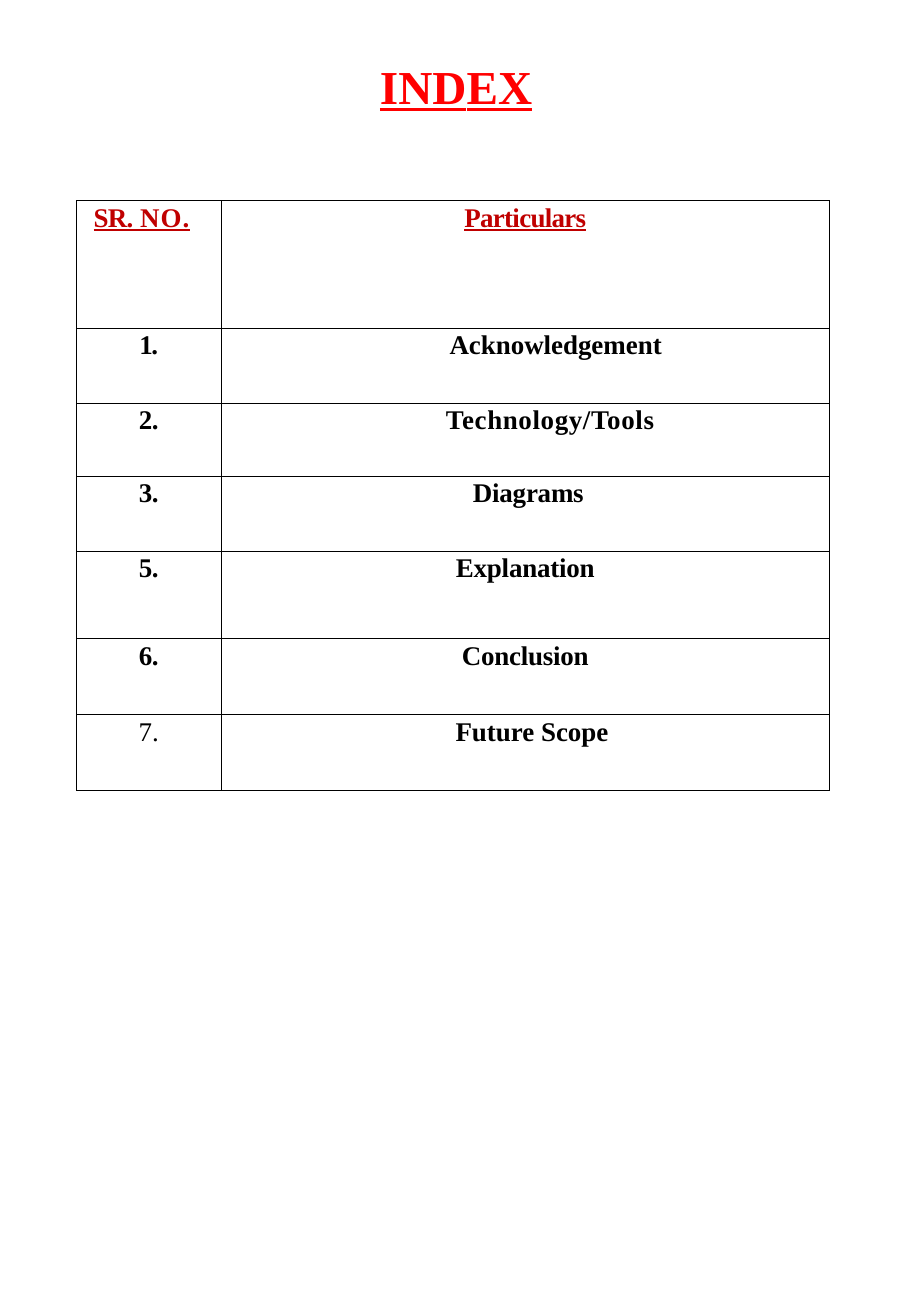
from lxml import etree
from pptx import Presentation, util as u
from pptx.dml import color
from pptx.enum import text
from pptx.oxml import ns

BLACK, RED, DARK_RED = "000000", "FF0000", "C00000"


def rgb(value):
    return color.RGBColor.from_string(value)


class IndexPage:
    font = "Times New Roman"
    border_width = u.Pt(0.5)

    def __init__(self, deck):
        self.width, self.height = deck.slide_width, deck.slide_height
        self.slide = deck.slides.add_slide(deck.slide_layouts[5])

    def across(self, percent):
        return round(self.width * percent / 100)

    def down(self, percent):
        return round(self.height * percent / 100)

    def wording(self, frame, pieces, size, tint, bold=True, underline=False,
                indent=0, before=1.5, align=text.PP_ALIGN.CENTER):
        line = frame.paragraphs[0]
        line.alignment = align
        line.space_before = u.Pt(before)
        properties = line._p.get_or_add_pPr()
        properties.set("marL", str(u.Inches(indent)))
        properties.set("indent", "0")
        line.font.name, line.font.size = self.font, u.Pt(size)
        line.font.bold, line.font.underline = bold, underline
        line.font.color.rgb = rgb(tint)
        for words, spacing in pieces:
            run = line.add_run()
            run.text = words
            run._r.get_or_add_rPr().set("spc", str(round(spacing * 100)))

    def title(self, pieces, left, top, width, height):
        heading = self.slide.shapes.title
        heading.left, heading.top = self.across(left), self.down(top)
        heading.width, heading.height = self.across(width), self.down(height)
        frame = heading.text_frame
        frame.auto_size = text.MSO_AUTO_SIZE.NONE
        frame.vertical_anchor = text.MSO_ANCHOR.TOP
        frame.margin_left = frame.margin_right = frame.margin_bottom = 0
        frame.margin_top = u.Inches(0.01)
        self.wording(frame, pieces, 28, RED, underline=True, indent=0.01, before=1)

    def cell(self, cell, pieces, **style):
        cell.margin_left = cell.margin_right = cell.margin_bottom = 0
        cell.margin_top = u.Inches(0.02)
        cell.vertical_anchor = text.MSO_ANCHOR.TOP
        properties = cell._tc.get_or_add_tcPr()
        for side in ("lnL", "lnR", "lnT", "lnB"):
            edge = etree.SubElement(properties, ns.qn(f"a:{side}"), w=str(self.border_width))
            paint = etree.SubElement(edge, ns.qn("a:solidFill"))
            etree.SubElement(paint, ns.qn("a:srgbClr"), val=BLACK)
        cell.fill.background()
        self.wording(cell.text_frame, pieces, 16, **style)

    def table(self, rows, left, top, widths, heights):
        contents = self.slide.shapes.add_table(
            len(heights), len(widths), self.across(left), self.down(top),
            self.across(sum(widths)), self.down(sum(heights))).table
        contents.first_row = contents.horz_banding = False
        for column, width in zip(contents.columns, widths):
            column.width = self.across(width)
        for row, height, entries in zip(contents.rows, heights, rows):
            row.height = self.down(height)
            for cell, (pieces, style) in zip(row.cells, entries):
                self.cell(cell, pieces, **style)


def index_rows():
    header = dict(tint=DARK_RED, underline=True, before=1.6)
    yield (([("SR.", -0.4), (" ", -0.3), ("NO.", 0.7)],
            dict(header, indent=0.14, align=text.PP_ALIGN.LEFT)),
           ([("Particulars", -0.4)], header))
    topics = [
        ("1.", -0.8, "Acknowledgement", 0, 0.5),
        ("2.", -0.2, "Technology/Tools", 0.4, 0.41),
        ("3.", -0.2, "Diagrams", -0.1, 0.05),
        ("5.", -0.2, "Explanation", -0.1, 0),
        ("6.", -0.2, "Conclusion", -0.1, 0),
        ("7.", 0, "Future Scope", 0, 0.11),
    ]
    for number, number_spacing, topic, topic_spacing, indent in topics:
        yield (([(number, number_spacing)], dict(tint=BLACK, bold=number != "7.")),
               ([(topic, topic_spacing)], dict(tint=BLACK, indent=indent)))


def main():
    deck = Presentation()
    deck.slide_width, deck.slide_height = u.Inches(7.5), u.Inches(10.83)
    page = IndexPage(deck)
    page.title([("IN", 0), ("D", 0.1), ("E", -0.2), ("X", 0)], 39.75, 4.25, 20.5, 4.5)
    page.table(index_rows(), 8.4, 15.24, [15.87, 66.8],
               [9.7, 5.7, 5.54, 5.72, 6.65, 5.77, 5.72])
    deck.save("out.pptx")


if __name__ == "__main__":
    main()
